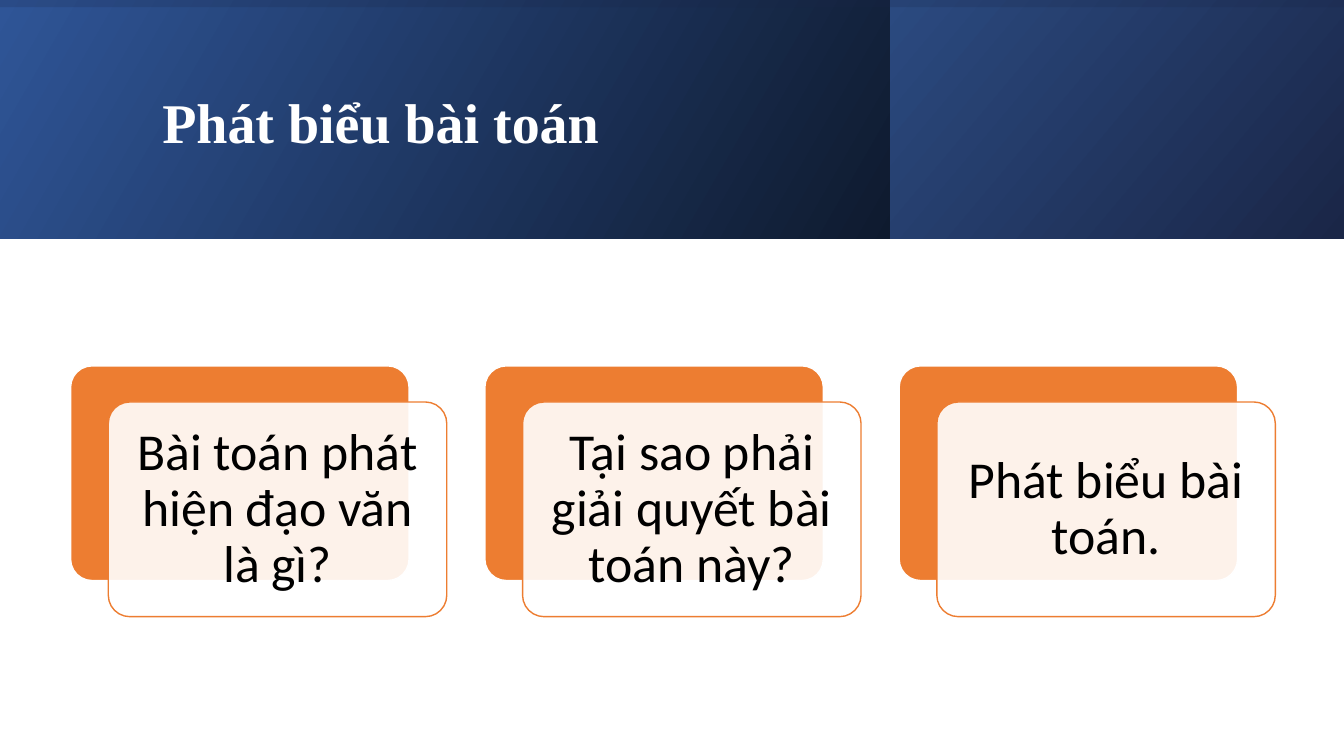
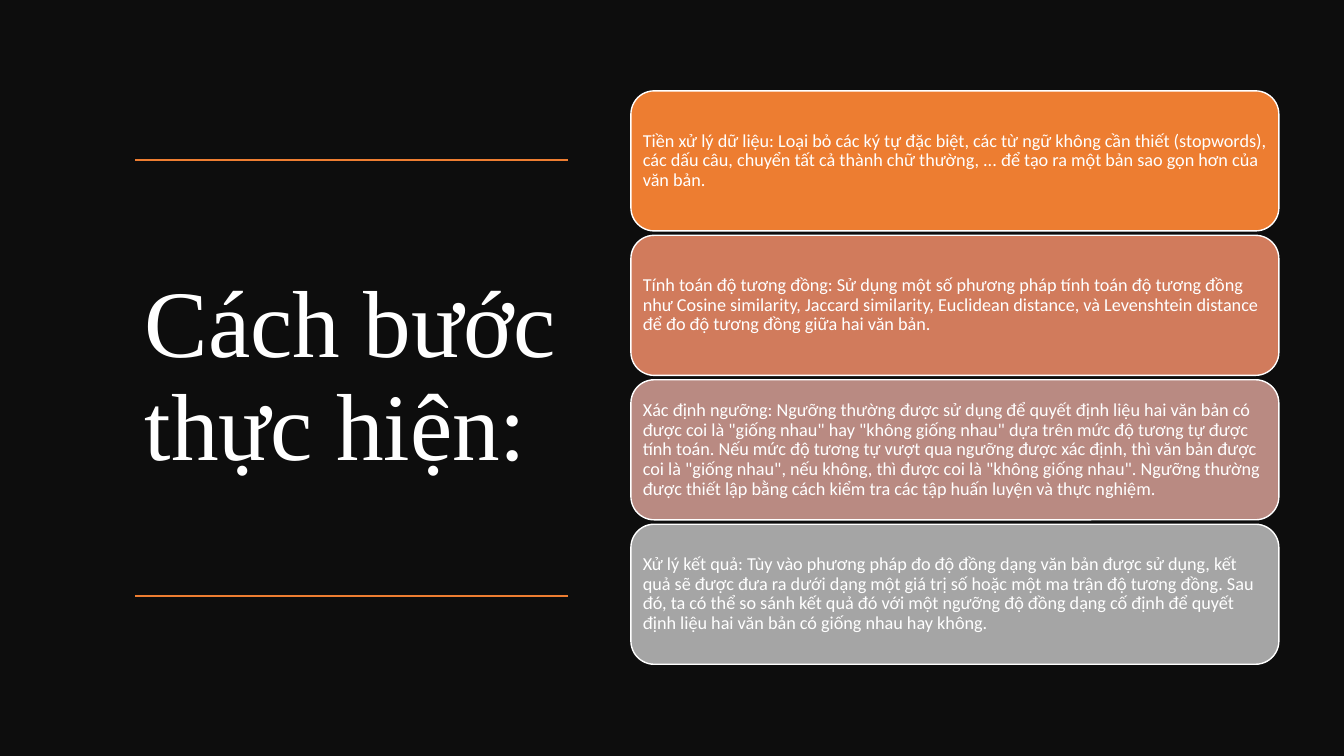
from dataclasses import dataclass

from lxml.etree import SubElement
from pptx import Presentation
from pptx.dml.color import RGBColor
from pptx.enum.shapes import MSO_CONNECTOR, MSO_SHAPE
from pptx.enum.text import MSO_ANCHOR, PP_ALIGN
from pptx.oxml.ns import qn
from pptx.util import Cm, Pt


@dataclass(frozen=True)
class Theme:
    """Colours, fonts and type sizes shared by the slides."""

    white: str = "FFFFFF"
    black: str = "000000"
    night: str = "0D0D0D"
    orange: str = "ED7D31"
    blue: str = "2F5597"
    panel_light: str = "2B4A80"
    panel_dark: str = "1A2647"
    step_fills: tuple = ("ED7D31", "D17B5C", "B98A82", "A5A5A5")
    title_font: str = "Times New Roman"
    body_font: str = "Calibri"
    band_title_size: int = 40
    side_title_size: int = 68
    card_size: int = 37
    step_size: int = 13
    line_width: int = 1
    line_spacing: float = 0.9


THEME = Theme()
SLIDE_WIDTH, SLIDE_HEIGHT = 33.87, 19.05
BAND_HEIGHT = 6.02

CARDS = (
    "Bài toán phát hiện đạo văn là gì?",
    "Tại sao phải giải quyết bài toán này?",
    "Phát biểu bài toán.",
)
STEPS = (
    "Tiền xử lý dữ liệu: Loại bỏ các ký tự đặc biệt, các từ ngữ không cần thiết "
    "(stopwords), các dấu câu, chuyển tất cả thành chữ thường, ... để tạo ra một "
    "bản sao gọn hơn của văn bản.",
    "Tính toán độ tương đồng: Sử dụng một số phương pháp tính toán độ tương đồng "
    "như Cosine similarity, Jaccard similarity, Euclidean distance, và Levenshtein "
    "distance để đo độ tương đồng giữa hai văn bản.",
    "Xác định ngưỡng: Ngưỡng thường được sử dụng để quyết định liệu hai văn bản có "
    'được coi là "giống nhau" hay "không giống nhau" dựa trên mức độ tương tự được '
    "tính toán. Nếu mức độ tương tự vượt qua ngưỡng được xác định, thì văn bản được "
    'coi là "giống nhau", nếu không, thì được coi là "không giống nhau". Ngưỡng '
    "thường được thiết lập bằng cách kiểm tra các tập huấn luyện và thực nghiệm.",
    "Xử lý kết quả: Tùy vào phương pháp đo độ đồng dạng văn bản được sử dụng, kết "
    "quả sẽ được đưa ra dưới dạng một giá trị số hoặc một ma trận độ tương đồng. Sau "
    "đó, ta có thể so sánh kết quả đó với một ngưỡng độ đồng dạng cố định để quyết "
    "định liệu hai văn bản có giống nhau hay không.",
)


def color(code):
    """Turn a hex code into a colour."""
    return RGBColor.from_string(code)


def add_block(slide, kind, place, fill=None, line=None, opacity=100):
    """Add a preset shape with an optional solid fill and outline."""
    box = slide.shapes.add_shape(kind, *map(Cm, place))
    box.shadow.inherit = False
    if fill:
        box.fill.solid()
        box.fill.fore_color.rgb = color(fill)
        if opacity < 100:
            tint = next(box.element.spPr.iter(qn("a:srgbClr")))
            SubElement(tint, qn("a:alpha"), val=str(opacity * 1000))
    if line:
        box.line.color.rgb = color(line)
        box.line.width = Pt(THEME.line_width)
    else:
        box.line.fill.background()
    return box


def add_gradient(slide, place, start, end, angle):
    """Add a rectangle that fades from one colour to another."""
    box = add_block(slide, MSO_SHAPE.RECTANGLE, place)
    box.fill.gradient()
    box.fill.gradient_angle = angle
    for stop, position, code in zip(box.fill.gradient_stops, (0, 1), (start, end)):
        stop.position = position
        stop.color.rgb = color(code)


def write(box, text, size, font, ink=THEME.white, align=PP_ALIGN.LEFT,
          bold=False, inset=None):
    """Write one vertically centred paragraph into a box."""
    frame = box.text_frame
    frame.word_wrap = True
    frame.vertical_anchor = MSO_ANCHOR.MIDDLE
    if inset is not None:
        frame.margin_left = frame.margin_right = Cm(inset)
        frame.margin_top = frame.margin_bottom = Cm(inset)
    para = frame.paragraphs[0]
    para.alignment = align
    para.line_spacing = THEME.line_spacing
    span = para.add_run()
    span.text = text
    span.font.size = Pt(size)
    span.font.name = font
    span.font.bold = bold
    span.font.color.rgb = color(ink)


def add_title(slide, place, text, size, bold=False):
    """Add a slide title."""
    box = slide.shapes.add_textbox(*map(Cm, place))
    write(box, text, size, THEME.title_font, bold=bold)


def add_rule(slide, left, right, top):
    """Add a horizontal orange line."""
    rule = slide.shapes.add_connector(
        MSO_CONNECTOR.STRAIGHT, Cm(right), Cm(top), Cm(left), Cm(top))
    rule.line.color.rgb = color(THEME.orange)
    rule.line.width = Pt(THEME.line_width)
    SubElement(rule.element.spPr, qn("a:effectLst"))


def add_band(slide):
    """Add the blue header band with its right panel and top edge."""
    panel_left = 22.43
    add_gradient(slide, (0, 0, SLIDE_WIDTH, BAND_HEIGHT),
                 THEME.blue, THEME.black, 330)
    add_gradient(slide, (panel_left, 0, SLIDE_WIDTH - panel_left, BAND_HEIGHT),
                 THEME.panel_light, THEME.panel_dark, 320)
    add_block(slide, MSO_SHAPE.RECTANGLE, (0, 0, SLIDE_WIDTH, 0.18),
              THEME.panel_dark, opacity=20)


def add_card(slide, left, top, text):
    """Add an orange card with a pale text card in front of it."""
    width, height = 8.53, 5.41
    back = add_block(slide, MSO_SHAPE.ROUNDED_RECTANGLE,
                     (left, top, width, height), THEME.orange, THEME.white)
    front = add_block(slide, MSO_SHAPE.ROUNDED_RECTANGLE,
                      (left + 0.95, top + 0.91, width, height),
                      THEME.white, THEME.orange, opacity=90)
    for box in (back, front):
        box.adjustments[0] = 0.1
    write(front, text, THEME.card_size, THEME.body_font, THEME.black,
          PP_ALIGN.CENTER, inset=0.38)


def add_step(slide, top, text, fill):
    """Add one rounded step bar."""
    box = add_block(slide, MSO_SHAPE.ROUNDED_RECTANGLE,
                    (15.9, top, 16.33, 3.53), fill, THEME.white)
    write(box, text, THEME.step_size, THEME.body_font, inset=0.13)


def build_problem_slide(slide):
    """Build the problem statement slide."""
    add_band(slide)
    add_title(slide, (3.84, 0.97, 27, 4.37), "Phát biểu bài toán",
              THEME.band_title_size, bold=True)
    for index, text in enumerate(CARDS):
        add_card(slide, 1.78 + index * 10.44, 9.22, text)


def build_steps_slide(slide):
    """Build the slide that lists the steps."""
    left, top, width, height = 3.4, 4.03, 10.92, 10.99
    add_block(slide, MSO_SHAPE.RECTANGLE,
              (0, 0, SLIDE_WIDTH, SLIDE_HEIGHT), THEME.night)
    add_title(slide, (left, top, width, height), "Cách bước thực hiện:",
              THEME.side_title_size)
    for edge in (top, top + height):
        add_rule(slide, left, left + width, edge)
    for index, (text, fill) in enumerate(zip(STEPS, THEME.step_fills)):
        add_step(slide, 2.29 + index * 3.64, text, fill)


def main():
    """Build and save the deck."""
    deck = Presentation()
    deck.slide_width, deck.slide_height = Cm(SLIDE_WIDTH), Cm(SLIDE_HEIGHT)
    for build in (build_problem_slide, build_steps_slide):
        page = deck.slides.add_slide(deck.slide_layouts[6])
        build(page)
    deck.save("out.pptx")


if __name__ == "__main__":
    main()
